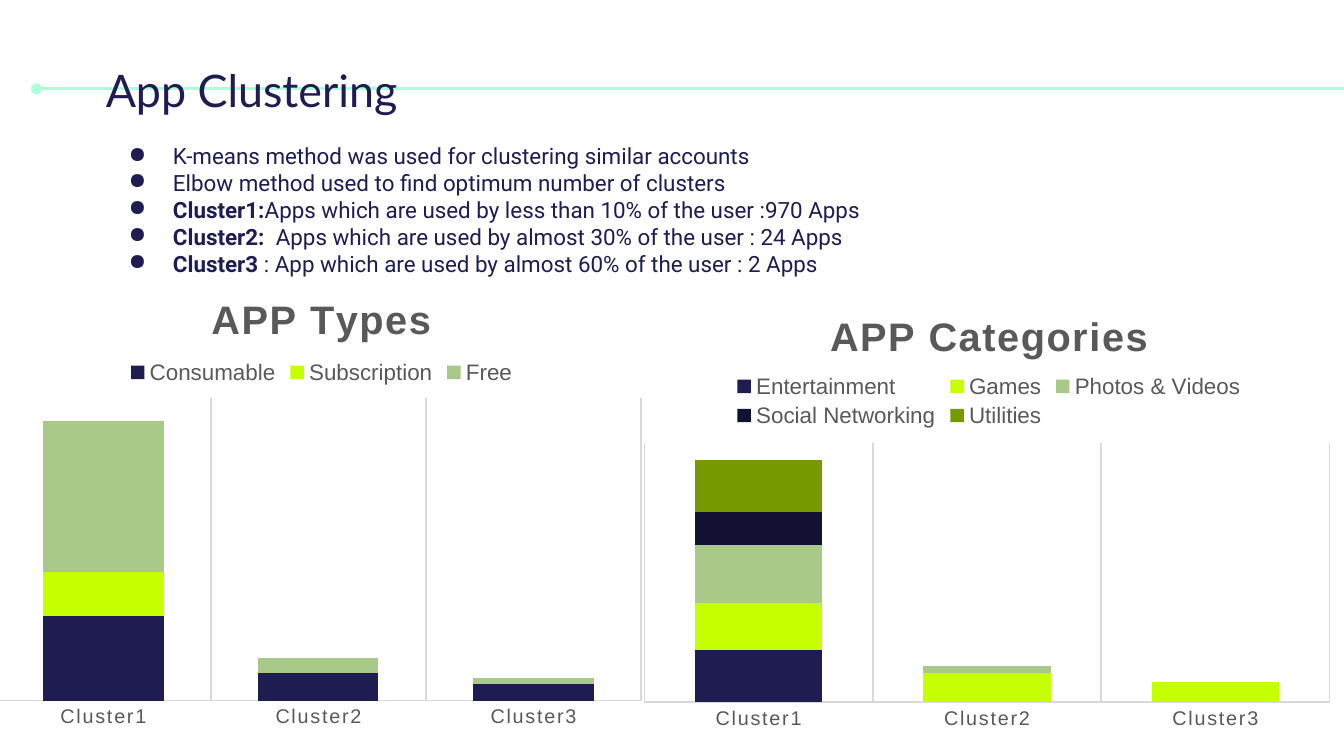
from lxml import etree
from pptx import Presentation
from pptx.chart.data import CategoryChartData
from pptx.dml.color import RGBColor
from pptx.enum.chart import XL_CHART_TYPE, XL_LEGEND_POSITION, XL_TICK_MARK
from pptx.enum.shapes import MSO_CONNECTOR
from pptx.enum.text import MSO_ANCHOR
from pptx.oxml.ns import qn
from pptx.util import Cm, Pt

STACKED = XL_CHART_TYPE.COLUMN_STACKED
LEGEND_TOP = XL_LEGEND_POSITION.TOP
NO_TICK = XL_TICK_MARK.NONE
STRAIGHT = MSO_CONNECTOR.STRAIGHT
TOP, MIDDLE = MSO_ANCHOR.TOP, MSO_ANCHOR.MIDDLE

NAVY, LIME, SAGE, INK, OLIVE = "1F1C51", "C6FF00", "A8C987", "131131", "779900"
MINT, GREY, LIGHT = "ACFFD9", "595959", "D9D9D9"
CLUSTERS = ["Cluster1", "Cluster2", "Cluster3"]

BULLETS = [
    ("", "K-means method was used for clustering similar accounts"),
    ("", "Elbow method used to find optimum number of clusters"),
    ("Cluster1:", "Apps which are used by less than 10% of the user :970 Apps"),
    ("Cluster2:  ", "Apps which are used by almost 30% of the user : 24 Apps"),
    ("Cluster3 ", ": App which are used by almost 60% of the user : 2 Apps"),
]
APP_TYPES = [
    ("Consumable", (56, 18, 11), NAVY),
    ("Subscription", (29, None, None), LIME),
    ("Free", (100, 10, 4), SAGE),
]
APP_CATEGORIES = [
    ("Entertainment", (90, None, None), NAVY),
    ("Games", (82, 50, 35), LIME),
    ("Photos & Videos", (100, 13, None), SAGE),
    ("Social Networking", (58, None, None), INK),
    ("Utilities", (91, None, None), OLIVE),
]


def rgb(color):
    return RGBColor.from_string(color)


def style_font(font, name, size, color, bold=False):
    font.name, font.size, font.bold = name, Pt(size), bold
    font.color.rgb = rgb(color)


def style_line(line, color, width):
    line.color.rgb = rgb(color)
    line.width = Pt(width)


def add_text_box(s, box, anchor):
    tf = s.shapes.add_textbox(*map(Cm, box)).text_frame
    tf.word_wrap = True
    tf.vertical_anchor = anchor
    tf.margin_left = tf.margin_right = tf.margin_top = tf.margin_bottom = Cm(0.25)
    return tf


def add_title(s, text, box):
    tf = add_text_box(s, box, MIDDLE)
    tf.text = text
    style_font(tf.paragraphs[0].runs[0].font, "Lato", 24, NAVY)


def set_bullet(p):
    pPr = p._p.get_or_add_pPr()
    pPr.set("marL", str(Cm(1.27)))
    pPr.set("indent", str(Cm(-0.84)))
    color = etree.SubElement(pPr, qn("a:buClr"))
    etree.SubElement(color, qn("a:srgbClr"), val=NAVY)
    etree.SubElement(pPr, qn("a:buChar"), char="●")


def add_bullets(s, items, box):
    tf = add_text_box(s, box, TOP)
    for i, (label, text) in enumerate(items):
        p = tf.add_paragraph() if i else tf.paragraphs[0]
        set_bullet(p)
        for part, bold in ((label, True), (text, False)):
            if part:
                r = p.add_run()
                r.text = part
                style_font(r.font, "Roboto", 12, NAVY, bold)


def add_rule(s, x1, x2, y):
    line = s.shapes.add_connector(STRAIGHT, Cm(x1), Cm(y), Cm(x2), Cm(y))
    style_line(line.line, MINT, 1.5)
    etree.SubElement(line.line._get_or_add_ln(), qn("a:headEnd"), type="oval")
    etree.SubElement(line._element.spPr, qn("a:effectLst"))


def place(element, index, **fractions):
    for old in element.findall(qn("c:layout")):
        element.remove(old)
    layout = etree.Element(qn("c:layout"))
    manual = etree.SubElement(layout, qn("c:manualLayout"))
    if "w" in fractions:
        etree.SubElement(manual, qn("c:layoutTarget"), val="inner")
    for axis in "xy":
        etree.SubElement(manual, qn(f"c:{axis}Mode"), val="edge")
    for key, value in fractions.items():
        etree.SubElement(manual, qn(f"c:{key}"), val=str(value))
    element.insert(index, layout)


def style_axes(chart, top):
    values = chart.value_axis
    values.minimum_scale, values.maximum_scale = 0, top
    values.has_major_gridlines = False
    values.visible = False
    cats = chart.category_axis
    cats.major_tick_mark = cats.minor_tick_mark = NO_TICK
    cats.has_major_gridlines = True
    style_line(cats.major_gridlines.format.line, LIGHT, 0.75)
    style_line(cats.format.line, LIGHT, 0.75)
    font = cats.tick_labels.font
    style_font(font, "Arial", 10.6, GREY)
    font._rPr.set("spc", "100")


def add_stacked_chart(s, title, series, box, top, title_x, legend_xy, plot_y, plot_h):
    data = CategoryChartData()
    data.categories = CLUSTERS
    for name, values, _ in series:
        data.add_series(name, values)
    chart = s.shapes.add_chart(STACKED, *map(Cm, box), data).chart
    style_font(chart.font, "Arial", 10, "000000")

    chart.has_title = True
    tf = chart.chart_title.text_frame
    tf.text = title
    r = tf.paragraphs[0].runs[0]
    style_font(r.font, "Arial", 21.3, GREY, True)
    r.font._element.set("spc", "100")
    place(chart.chart_title._element, 1, x=title_x, y=0.06)

    chart.has_legend = True
    chart.legend.position = LEGEND_TOP
    chart.legend.include_in_layout = False
    style_font(chart.legend.font, "Arial", 12, GREY)
    place(chart.legend._element, 1, x=legend_xy[0], y=legend_xy[1])

    style_axes(chart, top)
    plot = chart.plots[0]
    plot.gap_width, plot.overlap = 79, 100
    plot.vary_by_categories = False
    for ser, (_, _, color) in zip(plot.series, series):
        ser.format.fill.solid()
        ser.format.fill.fore_color.rgb = rgb(color)
    plot_area = chart._chartSpace.find(".//" + qn("c:plotArea"))
    place(plot_area, 0, x=0.02, y=plot_y, w=0.96, h=plot_h)


def main():
    prs = Presentation()
    prs.slide_width, prs.slide_height = Cm(25.4), Cm(14.29)
    s = prs.slides.add_slide(prs.slide_layouts[6])
    add_rule(s, 0.69, 25.65, 1.68)
    add_bullets(s, BULLETS, (1.75, 2.44, 20.35, 9.07))
    add_title(s, "App Clustering", (1.75, 0.94, 16.89, 1.5))
    add_stacked_chart(s, "APP Types", APP_TYPES, (-0.33, 4.9, 12.7, 9.07),
                      200, 0.33, (0.21, 0.2), 0.29, 0.63)
    add_stacked_chart(s, "APP Categories", APP_CATEGORIES, (11.91, 5.23, 13.49, 8.74),
                      450, 0.27, (0.14, 0.2), 0.36, 0.56)
    prs.save("out.pptx")


if __name__ == "__main__":
    main()
